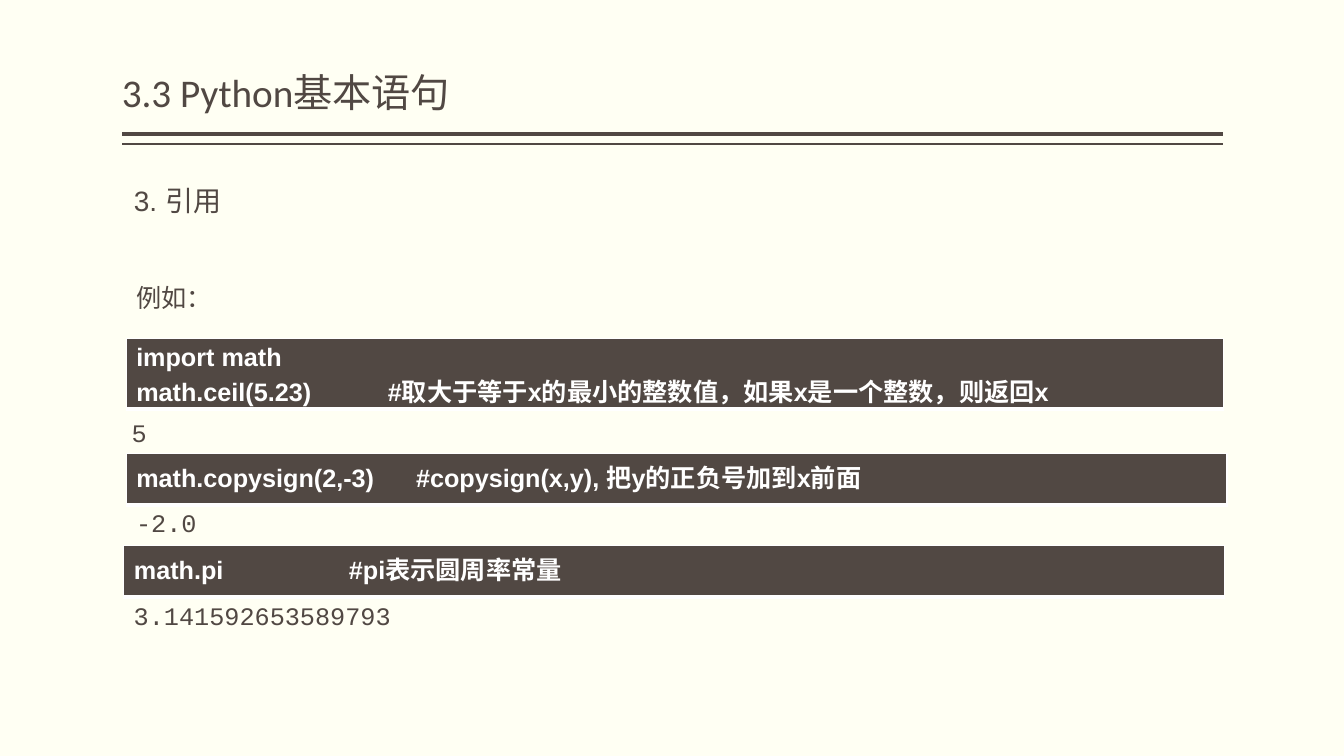
from dataclasses import dataclass

from lxml.etree import SubElement
from pptx import Presentation
from pptx.dml.color import RGBColor
from pptx.enum.shapes import MSO_CONNECTOR
from pptx.enum.text import MSO_ANCHOR, MSO_AUTO_SIZE, PP_ALIGN
from pptx.oxml import parse_xml
from pptx.oxml.ns import nsdecls, qn
from pptx.shapes.base import BaseShape
from pptx.slide import Slide
from pptx.text.text import TextFrame
from pptx.util import Cm, Pt


@dataclass(frozen=True)
class Theme:
    paper: RGBColor = RGBColor(0xFF, 0xFF, 0xF3)
    ink: RGBColor = RGBColor(0x51, 0x48, 0x43)
    white: RGBColor = RGBColor(0xFF, 0xFF, 0xFF)
    heading_font: str = "Calibri"
    body_font: str = "Arial"
    code_font: str = "Courier New"
    title_size: int = 28
    topic_size: int = 20
    text_size: int = 18


@dataclass(frozen=True)
class Area:
    left: float
    top: float
    width: float
    height: float

    def lengths(self) -> tuple[Cm, Cm, Cm, Cm]:
        return Cm(self.left), Cm(self.top), Cm(self.width), Cm(self.height)


@dataclass(frozen=True)
class Rule:
    top: float
    weight: float


@dataclass(frozen=True)
class Example:
    code: str
    code_area: Area
    comment_tab: float
    result: str
    result_area: Area


THEME = Theme()
LEFT, WIDTH = 3.07, 27.74
RULES = [Rule(3.38, 3), Rule(3.63, 1)]
BORDERS = {"lnL": 1, "lnR": 1, "lnT": 1, "lnB": 3}
EXAMPLES = [
    Example(
        "import math\nmath.ceil(5.23)\t#取大于等于x的最小的整数值，如果x是一个整数，则返回x",
        Area(3.18, 8.53, 27.66, 1.78), 6.34,
        "5", Area(3.07, 10.39, WIDTH, 1.02),
    ),
    Example(
        "math.copysign(2,-3)\t#copysign(x,y), 把y的正负号加到x前面",
        Area(3.18, 11.43, WIDTH, 1.3), 7.05,
        "-2.0", Area(3.18, 12.67, WIDTH, 1.02),
    ),
    Example(
        "math.pi\t#pi表示圆周率常量",
        Area(3.12, 13.74, WIDTH, 1.3), 5.42,
        "3.141592653589793", Area(3.12, 15.01, WIDTH, 1.02),
    ),
]


def write(frame: TextFrame, text: str, font: str, size: int,
          color: RGBColor = THEME.ink, bold: bool = False) -> None:
    frame.text = text
    frame.word_wrap = True
    for para in frame.paragraphs:
        for span in para.runs:
            span.font.name = font
            span.font.size = Pt(size)
            span.font.bold = bold
            span.font.color.rgb = color


def place(shape: BaseShape, area: Area) -> None:
    shape.left, shape.top, shape.width, shape.height = area.lengths()


def add_title(page: Slide) -> None:
    title = page.shapes.title
    place(title, Area(LEFT, 1.47, WIDTH, 1.57))
    frame = title.text_frame
    write(frame, "3.3 Python基本语句", THEME.heading_font, THEME.title_size)
    frame.auto_size = MSO_AUTO_SIZE.NONE
    frame.vertical_anchor = MSO_ANCHOR.BOTTOM
    frame.margin_left = frame.margin_right = 0
    frame.paragraphs[0].alignment = PP_ALIGN.LEFT
    frame.paragraphs[0].line_spacing = 0.9


def add_topic(page: Slide) -> None:
    topic = page.placeholders[1]
    place(topic, Area(3.12, 4.5, 7.77, 1.57))
    frame = topic.text_frame
    write(frame, "3. 引用", THEME.body_font, THEME.topic_size)
    frame.auto_size = MSO_AUTO_SIZE.NONE
    para = frame.paragraphs[0]
    para.space_before = Pt(18)
    properties = para._p.get_or_add_pPr()
    properties.set("marL", "0")
    properties.set("indent", "0")
    SubElement(properties, qn("a:buNone"))


def add_rule(page: Slide, rule: Rule) -> None:
    line = page.shapes.add_connector(
        MSO_CONNECTOR.STRAIGHT, Cm(LEFT + WIDTH), Cm(rule.top), Cm(LEFT), Cm(rule.top))
    line.line.color.rgb = THEME.ink
    line.line.width = Pt(rule.weight)
    SubElement(line._element.spPr, qn("a:effectLst"))


def add_text(page: Slide, area: Area, text: str, font: str) -> TextFrame:
    frame = page.shapes.add_textbox(*area.lengths()).text_frame
    write(frame, text, font, THEME.text_size)
    return frame


def add_code(page: Slide, example: Example) -> None:
    table = page.shapes.add_table(1, 1, *example.code_area.lengths()).table
    cell = table.cell(0, 0)
    write(cell.text_frame, example.code, THEME.body_font, THEME.text_size, THEME.white, True)
    cell.fill.solid()
    cell.fill.fore_color.rgb = THEME.ink
    for position, (side, weight) in enumerate(BORDERS.items()):
        cell._tc.get_or_add_tcPr().insert(position, parse_xml(
            f'<a:{side} {nsdecls("a")} w="{Pt(weight)}"><a:solidFill>'
            f'<a:srgbClr val="{THEME.white}"/></a:solidFill></a:{side}>'))
    properties = cell.text_frame.paragraphs[-1]._p.get_or_add_pPr()
    tabs = SubElement(properties, qn("a:tabLst"))
    SubElement(tabs, qn("a:tab"), pos=str(Cm(example.comment_tab)), algn="l")


def main() -> None:
    deck = Presentation()
    deck.slide_width, deck.slide_height = Cm(33.87), Cm(19.05)
    page = deck.slides.add_slide(deck.slide_layouts[1])
    page.background.fill.solid()
    page.background.fill.fore_color.rgb = THEME.paper

    for rule in RULES:
        add_rule(page, rule)
    add_title(page)
    add_topic(page)

    intro = add_text(page, Area(3.18, 6.53, WIDTH, 1.45), "例如：", THEME.body_font)
    intro.paragraphs[0].alignment = PP_ALIGN.JUSTIFY
    intro.paragraphs[0].line_spacing = 1.6

    for example in EXAMPLES:
        add_code(page, example)
        result = add_text(page, example.result_area, example.result, THEME.code_font)
        result.auto_size = MSO_AUTO_SIZE.SHAPE_TO_FIT_TEXT

    deck.save("out.pptx")


if __name__ == "__main__":
    main()
